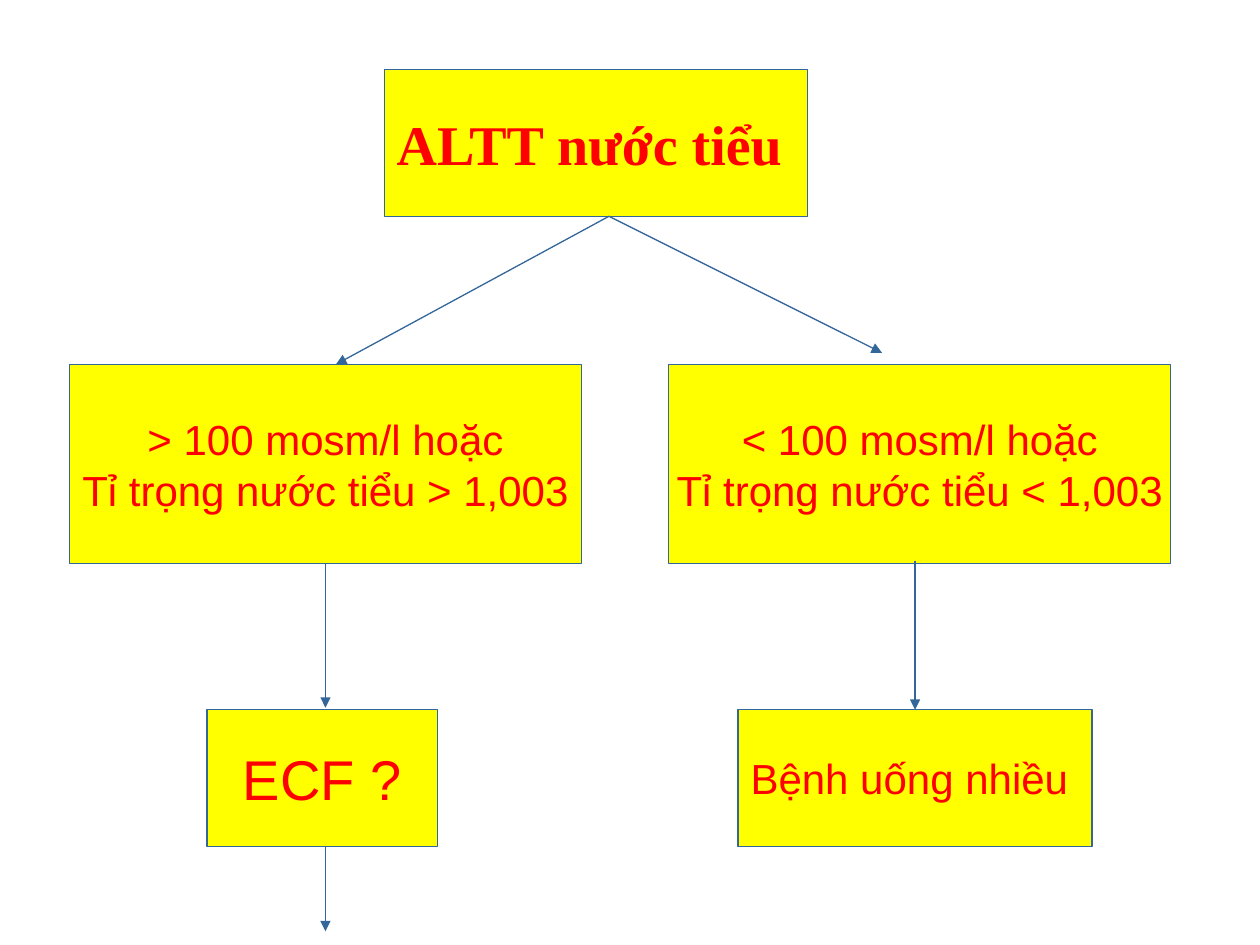
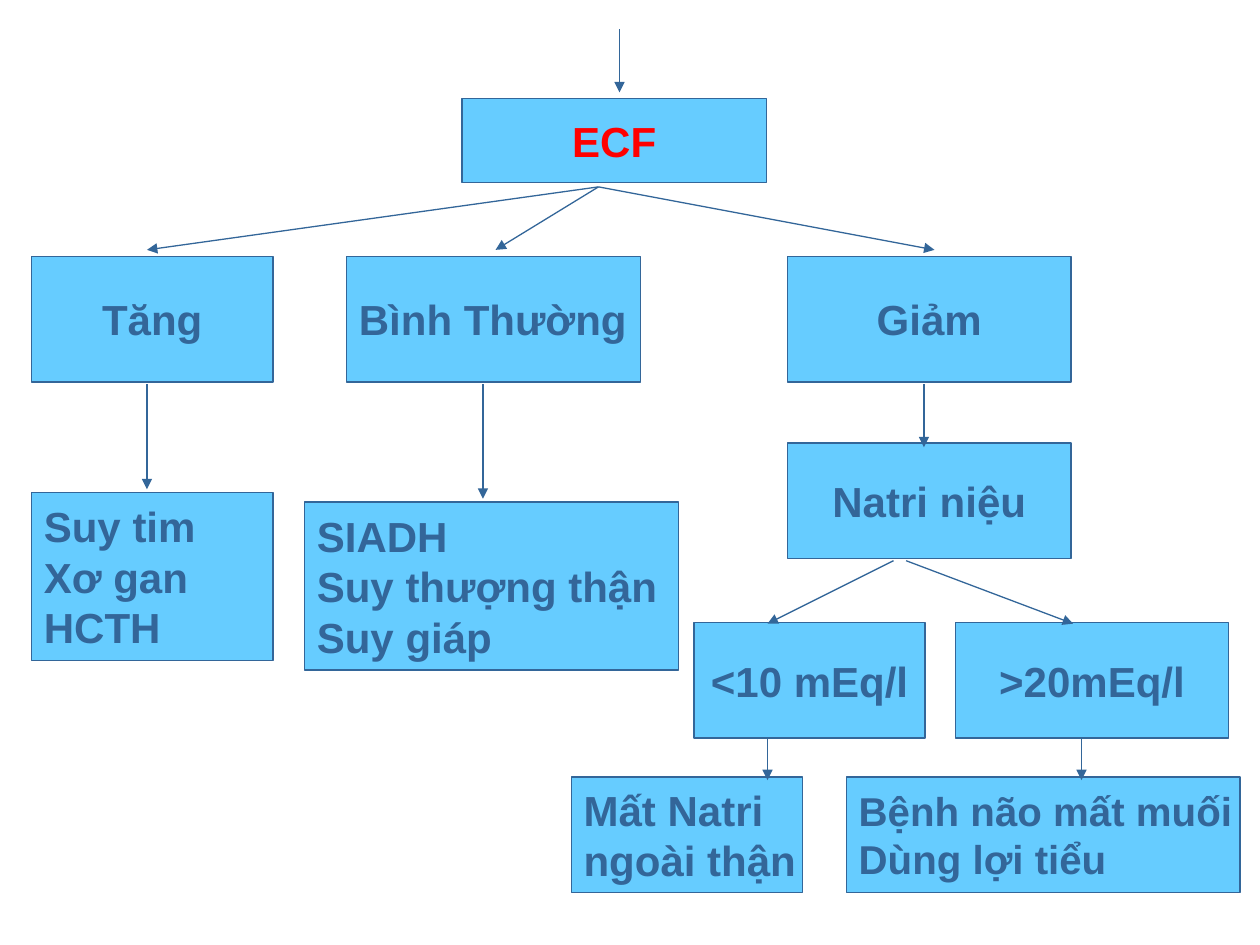
from pptx import Presentation
from pptx.dml.color import RGBColor
from pptx.enum.shapes import MSO_CONNECTOR, MSO_SHAPE
from pptx.enum.text import MSO_ANCHOR, PP_ALIGN
from pptx.oxml.ns import qn
from pptx.util import Inches, Pt
from lxml import etree

RECT = MSO_SHAPE.RECTANGLE
LINE = MSO_CONNECTOR.STRAIGHT
MID = MSO_ANCHOR.MIDDLE
LEFT, CENTER = PP_ALIGN.LEFT, PP_ALIGN.CENTER
TOP, BOTTOM = 0, 2

HUES = {"yellow": "FFFF00", "sky": "66CCFF", "red": "FF0000", "blue": "336699"}

deck = Presentation()
deck.slide_width, deck.slide_height = Inches(10), Inches(7.5)
CELL = deck.slide_width / 120  # grid of 120 columns by 90 rows


def color(name):
    return RGBColor.from_string(HUES[name])


def grid(*cells):
    """Turn grid counts into slide lengths."""
    return [round(n * CELL) for n in cells]


# Each chart: fill, base font, boxes (key, place, align, font changes, lines)
# and arrows, whose ends are grid points or box keys.
urine = {
    "fill": "yellow",
    "font": {"name": "Arial", "size": 24, "color": "red", "bold": False},
    "boxes": [
        ("osm", (36.6, 6.6, 40.3, 14), LEFT,
         {"name": "Times New Roman", "size": 32, "bold": True}, ["ALTT nước tiểu"]),
        ("high", (6.6, 34.7, 48.8, 19), CENTER, {},
         ["> 100 mosm/l hoặc", "Tỉ trọng nước tiểu > 1,003"]),
        ("low", (63.7, 34.7, 47.8, 19), CENTER, {},
         ["< 100 mosm/l hoặc", "Tỉ trọng nước tiểu < 1,003"]),
        ("ecf", (19.7, 67.6, 22, 13), CENTER, {"size": 32}, ["ECF ?"]),
        ("drink", (70.3, 67.6, 33.7, 13), LEFT, {}, ["Bệnh uống nhiều"]),
    ],
    "arrows": [
        ((58, 20.6), (32, 34.7)),
        ((58, 20.6), (84, 33.6)),
        ("high", (31, 67.4)),
        ((87.15, 53.4), "drink"),
        ((31, 80.6), (31, 88.7)),
    ],
}

volume = {
    "fill": "sky",
    "font": {"name": "Arial", "size": 24, "color": "blue", "bold": True},
    "boxes": [
        ("ecf", (44, 9.4, 29, 8), CENTER, {"color": "red"}, ["ECF"]),
        ("up", (3, 24.4, 23, 12), CENTER, {}, ["Tăng"]),
        ("same", (33, 24.4, 28, 12), LEFT, {}, ["Bình Thường"]),
        ("down", (75, 24.4, 27, 12), CENTER, {}, ["Giảm"]),
        ("salt", (75, 42.2, 27, 11), CENTER, {}, ["Natri niệu"]),
        ("less", (66.1, 59.3, 22, 11), CENTER, {}, ["<10 mEq/l"]),
        ("more", (91, 59.3, 26, 11), CENTER, {}, [">20mEq/l"]),
        ("loss", (54.4, 74, 22, 11), LEFT, {}, ["Mất Natri", "ngoài thận"]),
        ("brain", (80.6, 74, 37.5, 11), LEFT, {"size": 23},
         ["Bệnh não mất muối", "Dùng lợi tiểu"]),
        ("heart", (3, 46.9, 23, 16), LEFT, {}, ["Suy tim", "Xơ gan", "HCTH"]),
        ("gland", (29, 47.8, 35.6, 16), LEFT, {},
         ["SIADH", "Suy thượng thận", "Suy giáp"]),
    ],
    "arrows": [
        ((59, 2.8), (59, 8.8)),
        *[((57, 17.8), (x, 23.8)) for x in (14, 47.2, 89)],
        *[((x, 36.6), (x, y)) for x, y in ((14, 46.6), (46, 47.5), (88, 42.6))],
        ((85.1, 53.4), (73.1, 59.4)),
        ((86.3, 53.4), (102.2, 59.4)),
        *[((x, 70.3), (x, 74.3)) for x in (73.1, 103)],
    ],
}

for chart in (urine, volume):
    slide = deck.slides.add_slide(deck.slide_layouts[6])
    boxes = {}

    for key, place, align, change, lines in chart["boxes"]:
        box = slide.shapes.add_shape(RECT, *grid(*place))
        boxes[key] = box
        box.shadow.inherit = False
        box.fill.solid()
        box.fill.fore_color.rgb = color(chart["fill"])
        box.line.color.rgb = color("blue")
        box.line.width = Pt(0.75)

        # Tight side margins keep the widest lines unbroken
        frame = box.text_frame
        side = Inches(0.1) if align == LEFT else 0
        form = {"word_wrap": True, "vertical_anchor": MID,
                "margin_left": side, "margin_right": 0}
        for name, value in form.items():
            setattr(frame, name, value)

        style = {**chart["font"], **change}
        frame.text = "\n".join(lines)
        for para in frame.paragraphs:
            para.alignment = align
            for run in para.runs:
                for name in ("name", "bold"):
                    setattr(run.font, name, style[name])
                run.font.size = Pt(style["size"])
                run.font.color.rgb = color(style["color"])

    for start, end in chart["arrows"]:
        first = (0, 0) if start in boxes else grid(*start)
        last = (0, 0) if end in boxes else grid(*end)
        arrow = slide.shapes.add_connector(LINE, *first, *last)
        if start in boxes:
            arrow.begin_connect(boxes[start], BOTTOM)
        if end in boxes:
            arrow.end_connect(boxes[end], TOP)
        arrow.line.color.rgb = color("blue")
        arrow.line.width = Pt(0.75)
        etree.SubElement(arrow.line._get_or_add_ln(), qn("a:tailEnd"), type="triangle")
        etree.SubElement(arrow._element.spPr, qn("a:effectLst"))

deck.save("out.pptx")
